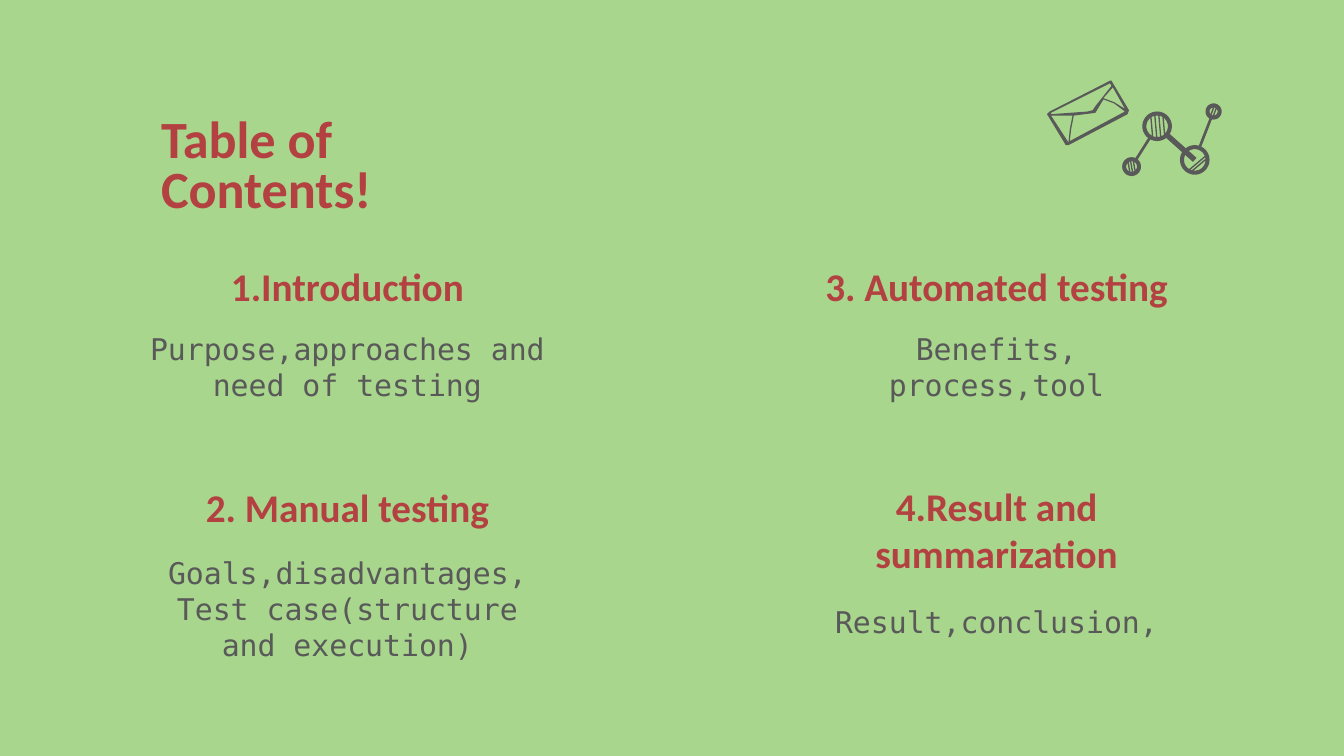
import math
from pptx import Presentation
from pptx import util as u
from pptx.dml.color import RGBColor
from pptx.enum import text as t

# Content: (column, row, heading, heading height, body top, body paragraphs)
TITLE = "Table of Contents!"
SECTIONS = [
    (0, 0, "1.Introduction", 0.53, 2.36, ["Purpose,approaches and need of testing"]),
    (1, 0, "3. Automated testing", 0.53, 2.36, ["Benefits,", "process,tool"]),
    (0, 1, "2. Manual testing", 0.53, 4.03,
     ["Goals,disadvantages,", "Test case(structure and execution)"]),
    (1, 1, "4.Result and summarization", 0.87, 4.39, ["Result,conclusion,"]),
]

# Look
COLORS = {"background": "A8D68C", "accent": "B44141", "grey": "595959"}
FORMATS = {
    "title": {"name": "Calibri", "size": u.Pt(28), "bold": True},
    "heading": {"name": "Calibri", "size": u.Pt(21), "bold": True},
    "body": {"name": "DejaVu Sans Mono", "size": u.Pt(16), "bold": False},
}

# Grid, in inches, on a 16:9 slide
WIDTH = 10
HEIGHT = WIDTH * 9 / 16
COLUMNS, ROWS = (0.99, 5.82), (1.87, 3.52)
HEADING_WIDTH, BODY_WIDTH, BODY_HEIGHT = 3.19, 3.14, 0.78
BODY_INDENT = (HEADING_WIDTH - BODY_WIDTH) / 2

# Envelope: outer edge, then the panels cut out of it
ENVELOPE = [
    [(8.26, 0.6), (7.81, 0.83), (7.79, 0.85), (7.93, 1.08), (7.95, 1.08),
     (8.39, 0.85), (8.4, 0.82), (8.27, 0.6)],
    [(8.26, 0.62), (8.27, 0.64), (8.15, 0.79), (8.13, 0.82), (8.09, 0.83),
     (7.82, 0.85), (7.82, 0.84)],
    [(8.28, 0.65), (8.37, 0.81), (8.29, 0.76), (8.21, 0.73)],
    [(7.98, 0.86), (7.96, 0.96), (7.95, 1.06), (7.82, 0.86)],
    [(8.21, 0.74), (8.29, 0.77), (8.37, 0.83), (7.96, 1.05), (7.97, 0.96),
     (7.99, 0.86), (8.15, 0.84)],
]

# Molecule: (centre, radius, wall, stripe angle, stripe offsets)
ATOMS = [
    ((8.42, 1.24), 0.07, 0.03, 80, (-0.02, 0, 0.02)),
    ((8.61, 0.94), 0.11, 0.03, 85, (-0.05, -0.02, 0.01, 0.04)),
    ((8.89, 1.19), 0.11, 0.03, -40, (0.03, 0.05)),
    ((9.03, 0.83), 0.06, 0.03, 110, (-0.01, 0.01)),
]
BONDS = [(0, 1, 0.02), (1, 2, 0.04), (2, 3, 0.02)]
STRIPE = 0.01


def circle(center, radius, steps=40):
    angles = [2 * math.pi * i / steps for i in range(steps)]
    return [(center[0] + radius * math.cos(a), center[1] + radius * math.sin(a))
            for a in angles]


def bar(start, end, thickness):
    (x1, y1), (x2, y2) = start, end
    length = math.dist(start, end)
    dx, dy = (y1 - y2) / length * thickness / 2, (x2 - x1) / length * thickness / 2
    return [(x1 + dx, y1 + dy), (x2 + dx, y2 + dy), (x2 - dx, y2 - dy), (x1 - dx, y1 - dy)]


def toward(start, end, distance):
    share = distance / math.dist(start, end)
    return tuple(a + (b - a) * share for a, b in zip(start, end))


def molecule():
    outlines = []
    for center, radius, wall, angle, offsets in ATOMS:
        inner = radius - wall
        outlines += [circle(center, radius), circle(center, inner)]
        cos, sin = math.cos(math.radians(angle)), math.sin(math.radians(angle))
        for offset in offsets:
            half = math.sqrt(inner ** 2 - offset ** 2)
            x, y = center[0] - offset * sin, center[1] + offset * cos
            outlines.append(bar((x - half * cos, y - half * sin),
                                (x + half * cos, y + half * sin), STRIPE))
    for first, second, thickness in BONDS:
        (start, start_radius, *_), (end, end_radius, *_) = ATOMS[first], ATOMS[second]
        outlines.append(bar(toward(start, end, start_radius),
                            toward(end, start, end_radius), thickness))
    # The thick bond runs on to the centre of its lower atom
    upper, (lower, radius, wall, *_) = ATOMS[1][0], ATOMS[2]
    outlines.append(bar(toward(lower, upper, radius - wall), lower, 0.04))
    return outlines


def add_icon(slide, outlines):
    points = [[(u.Inches(x), u.Inches(y)) for x, y in outline] for outline in outlines]
    builder = slide.shapes.build_freeform(*points[0][0])
    builder.add_line_segments(points[0][1:], close=True)
    for outline in points[1:]:
        builder.move_to(*outline[0])
        builder.add_line_segments(outline[1:], close=True)
    icon = builder.convert_to_shape()
    icon.shadow.inherit = False
    icon.fill.solid()
    icon.fill.fore_color.rgb = RGBColor.from_string(COLORS["grey"])
    icon.line.fill.background()


def add_text(slide, box, paragraphs, style, color, align, anchor=t.MSO_ANCHOR.TOP, spacing=None):
    frame = slide.shapes.add_textbox(*map(u.Inches, box)).text_frame
    settings = {"word_wrap": True, "vertical_anchor": anchor}
    settings |= {f"margin_{side}": u.Inches(0.1) for side in ("left", "top", "right", "bottom")}
    for key, value in settings.items():
        setattr(frame, key, value)
    frame.text = "\n".join(paragraphs)
    for paragraph in frame.paragraphs:
        paragraph.alignment = align
        paragraph.line_spacing = spacing
        for run in paragraph.runs:
            for key, value in FORMATS[style].items():
                setattr(run.font, key, value)
            run.font.color.rgb = RGBColor.from_string(COLORS[color])


def main():
    deck = Presentation()
    deck.slide_width, deck.slide_height = u.Inches(WIDTH), u.Inches(HEIGHT)
    slide = deck.slides.add_slide(deck.slide_layouts[6])
    slide.background.fill.solid()
    slide.background.fill.fore_color.rgb = RGBColor.from_string(COLORS["background"])

    # Title and icons
    add_text(slide, (1.1, 0.78, 2.63, 0.63), [TITLE], "title", "accent",
             t.PP_ALIGN.LEFT, spacing=0.8)
    add_icon(slide, molecule())
    add_icon(slide, ENVELOPE)

    # Sections
    for column, row, heading, heading_height, body_top, body in SECTIONS:
        left = COLUMNS[column]
        add_text(slide, (left, ROWS[row], HEADING_WIDTH, heading_height), [heading],
                 "heading", "accent", t.PP_ALIGN.CENTER, t.MSO_ANCHOR.BOTTOM)
        add_text(slide, (left + BODY_INDENT, body_top, BODY_WIDTH, BODY_HEIGHT), body,
                 "body", "grey", t.PP_ALIGN.CENTER)

    deck.save("out.pptx")


if __name__ == "__main__":
    main()
